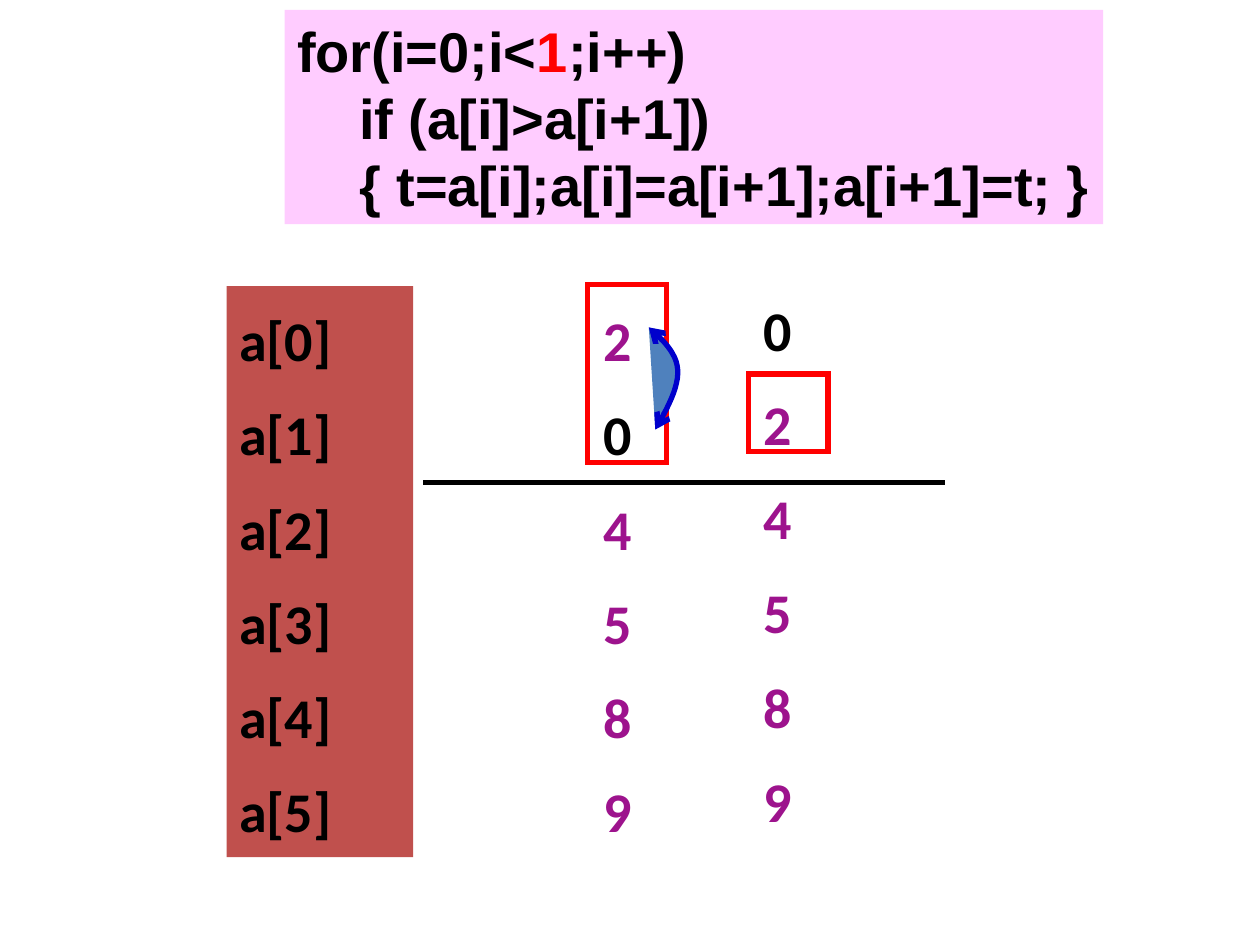
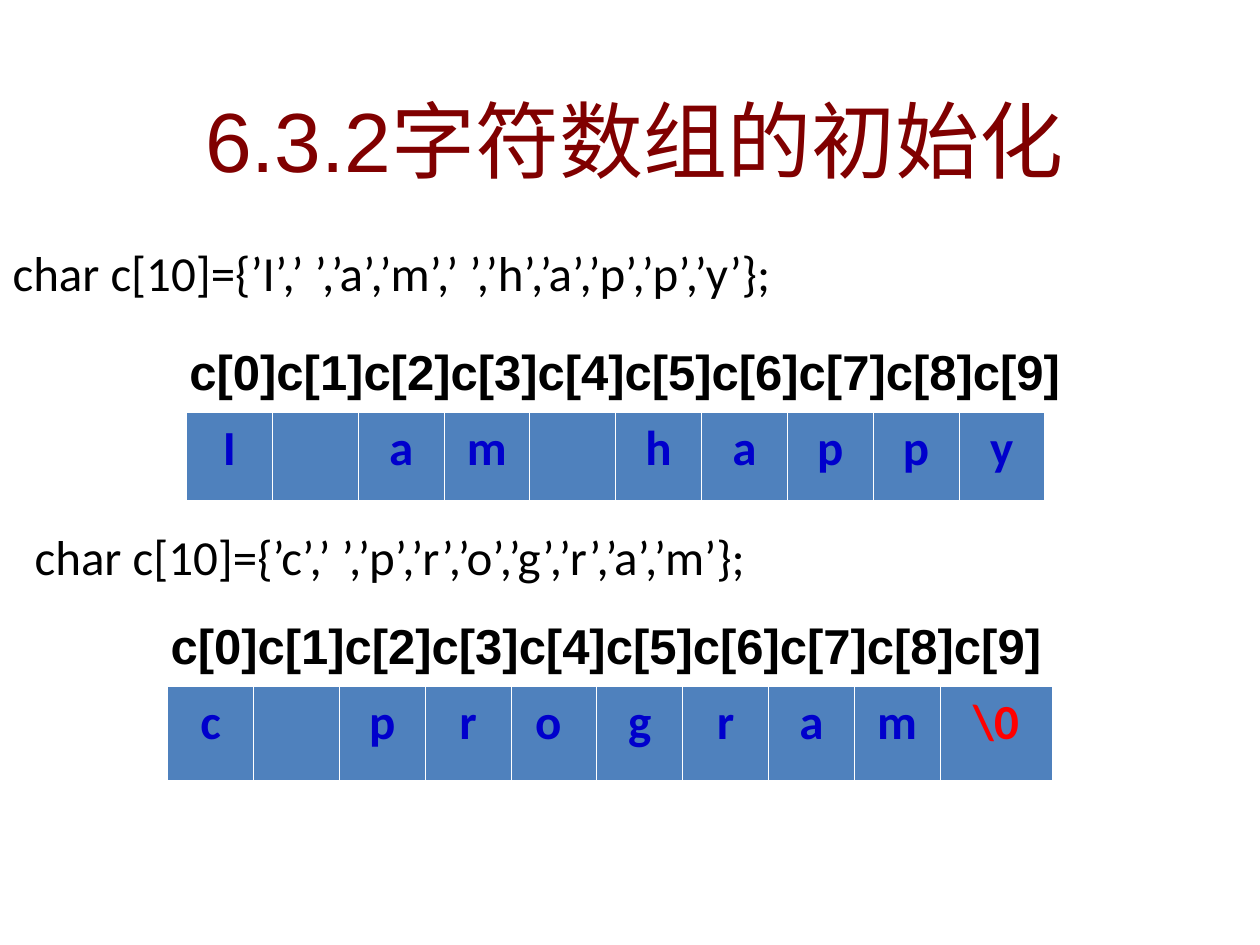
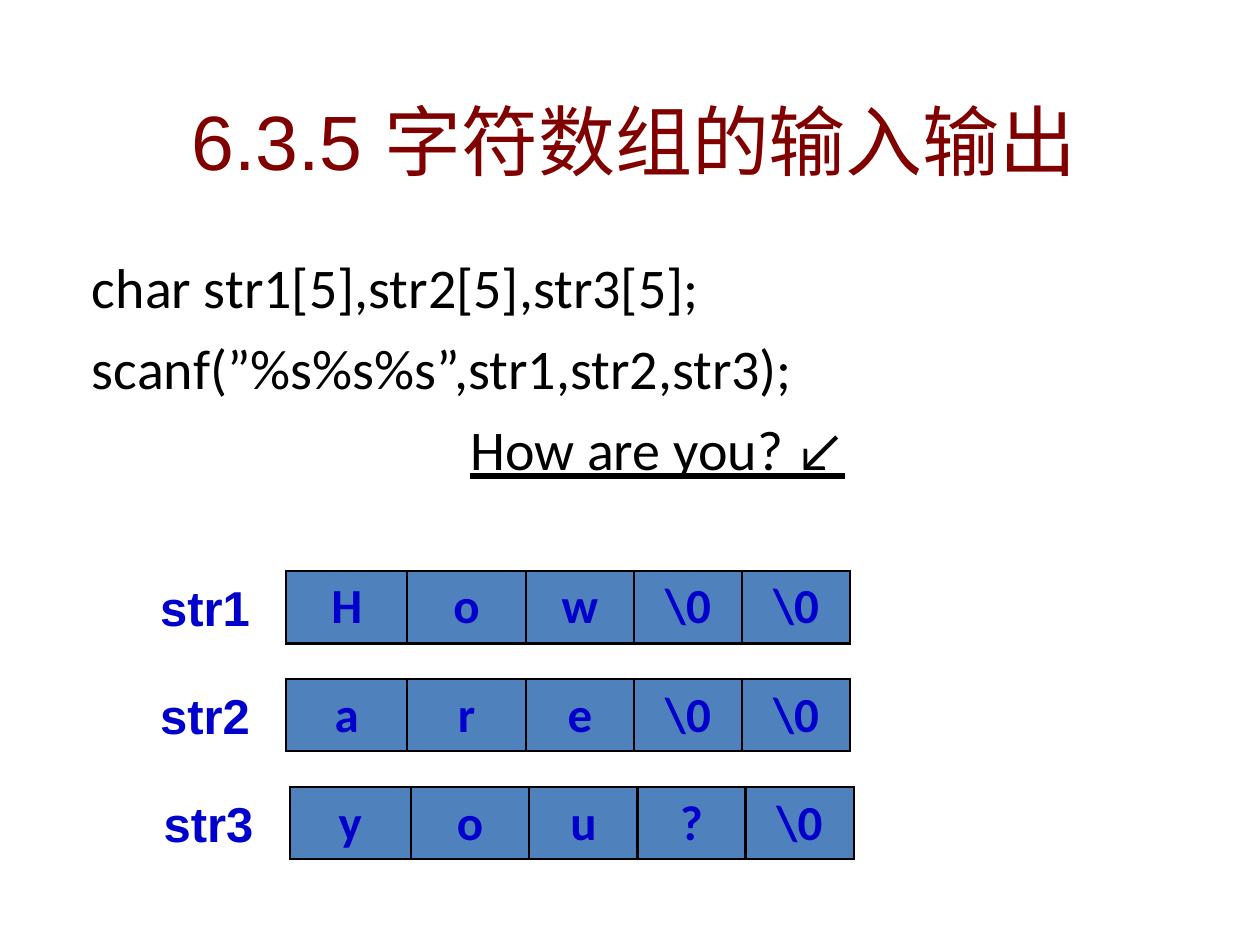
from collections import namedtuple

from lxml import etree
from pptx import Presentation
from pptx.dml.color import RGBColor
from pptx.enum.shapes import MSO_CONNECTOR, MSO_SHAPE
from pptx.enum.text import MSO_ANCHOR, MSO_AUTO_SIZE, PP_ALIGN
from pptx.oxml.ns import qn
from pptx.util import Cm, Pt

RECTANGLE = MSO_SHAPE.RECTANGLE
PROCESS = MSO_SHAPE.FLOWCHART_PROCESS
STRAIGHT = MSO_CONNECTOR.STRAIGHT
TOP, MIDDLE = MSO_ANCHOR.TOP, MSO_ANCHOR.MIDDLE
LEFT, CENTER = PP_ALIGN.LEFT, PP_ALIGN.CENTER
NO_FIT, GROW = MSO_AUTO_SIZE.NONE, MSO_AUTO_SIZE.SHAPE_TO_FIT_TEXT

COLOURS = {
    "black": "000000",
    "white": "FFFFFF",
    "red": "FF0000",
    "navy": "0000CC",
    "cell": "4F81BD",
    "index": "C0504D",
    "code": "FFCCFF",
    "value": "9D138D",
    "title": "800000",
}
CODE_FONT, BODY_FONT = "Arial", "Calibri"
HANGING = 0.95
LINE_GAP = 7.7
ROW_HEIGHT = 1.45
TITLE_LAYOUT, BLANK_LAYOUT = 1, 6

Box = namedtuple("Box", "left top width height")
Style = namedtuple("Style", "size font colour bold")

CODE = Style(32, CODE_FONT, "black", True)
VALUE = Style(32, BODY_FONT, "value", True)
TITLE = Style(48, CODE_FONT, "title", False)
BODY = Style(28, BODY_FONT, "black", False)
CELL = Style(28, BODY_FONT, "navy", True)
LABEL = Style(28, CODE_FONT, "black", True)


def rgb(name):
    return RGBColor.from_string(COLOURS[name])


def lengths(box):
    return [Cm(side) for side in box]


def place(holder, box):
    holder.left, holder.top, holder.width, holder.height = lengths(box)


def write(paragraph, text, style, underline=False):
    run = paragraph.add_run()
    run.text = text
    run.font.size = Pt(style.size)
    run.font.name = style.font
    run.font.bold = style.bold
    run.font.color.rgb = rgb(style.colour)
    if underline:
        run.font.underline = True


def paragraph_at(frame, position, alignment=LEFT):
    paragraph = frame.add_paragraph() if position else frame.paragraphs[0]
    paragraph.alignment = alignment
    return paragraph


def hang(paragraph):
    properties = paragraph._p.get_or_add_pPr()
    properties.set("marL", str(Cm(HANGING)))
    properties.set("indent", str(-Cm(HANGING)))
    etree.SubElement(properties, qn("a:buNone"))


def add_panel(slide, box, preset, fill=None, outline=None):
    panel = slide.shapes.add_shape(preset, *lengths(box))
    panel.shadow.inherit = False
    if fill:
        panel.fill.solid()
        panel.fill.fore_color.rgb = rgb(fill)
    else:
        panel.fill.background()
    if outline:
        panel.line.color.rgb = rgb(outline)
        panel.line.width = Pt(3)
        etree.SubElement(panel.line._get_or_add_ln(), qn("a:miter"), lim="800000")
    else:
        panel.line.fill.background()
    panel.text_frame.vertical_anchor = TOP
    return panel


def add_label(slide, box, text, style):
    frame = slide.shapes.add_textbox(*lengths(box)).text_frame
    frame.word_wrap = True
    frame.auto_size = GROW
    write(frame.paragraphs[0], text, style)


def write_column(frame, entries):
    frame.word_wrap = True
    for position, (text, colour) in enumerate(entries):
        paragraph = paragraph_at(frame, position)
        hang(paragraph)
        paragraph.line_spacing = 1.2
        if position:
            paragraph.space_before = Pt(LINE_GAP)
        write(paragraph, text, VALUE._replace(colour=colour))


def add_values(slide, box, values):
    frame = slide.shapes.add_textbox(*lengths(box)).text_frame
    write_column(frame, [(v, "black" if v == "0" else "value") for v in values])


def add_code(slide, box):
    frame = add_panel(slide, box, RECTANGLE, fill="code").text_frame
    frame.word_wrap = True
    frame.auto_size = NO_FIT
    frame.margin_right = 0
    lines = [
        [("for(i=0;i<", "black"), ("1", "red"), (";i++)", "black")],
        [("    if (a[i]>a[i+1])", "black")],
        [("    { t=a[i];a[i]=a[i+1];a[i+1]=t; }", "black")],
    ]
    for position, pieces in enumerate(lines):
        paragraph = paragraph_at(frame, position)
        for text, colour in pieces:
            write(paragraph, text, CODE._replace(colour=colour))


def bezier(start, first, second, end, steps=12):
    for step in range(1, steps + 1):
        t = step / steps
        weights = ((1 - t) ** 3, 3 * t * (1 - t) ** 2, 3 * t * t * (1 - t), t ** 3)
        yield tuple(
            sum(w * point[axis] for w, point in zip(weights, (start, first, second, end)))
            for axis in (0, 1)
        )


def add_swap_arrow(slide, box):
    bottom, bulge, top = (0.22, 1), (0.97, 0.41), (0, 0)
    curve = [
        *bezier(bottom, (0.63, 0.79), (1.02, 0.58), bulge),
        *bezier(bulge, (0.93, 0.25), (0.47, 0.12), top),
    ]
    points = [
        (Cm(box.left + x * box.width), Cm(box.top + y * box.height))
        for x, y in [bottom, *curve]
    ]
    builder = slide.shapes.build_freeform(*points[0])
    builder.add_line_segments(points[1:], close=False)
    arrow = builder.convert_to_shape()
    arrow.shadow.inherit = False
    arrow.fill.solid()
    arrow.fill.fore_color.rgb = rgb("cell")
    arrow.line.color.rgb = rgb("navy")
    arrow.line.width = Pt(3)
    outline = arrow.line._get_or_add_ln()
    for end in ("a:headEnd", "a:tailEnd"):
        etree.SubElement(outline, qn(end)).set("type", "arrow")


def add_divider(slide, left, right, top):
    divider = slide.shapes.add_connector(STRAIGHT, Cm(left), Cm(top), Cm(right), Cm(top))
    divider.line.color.rgb = rgb("black")
    divider.line.width = Pt(3)
    etree.SubElement(divider._element.spPr, qn("a:effectLst"))


def set_borders(cell, colour, side_width, bottom_width):
    properties = cell._tc.get_or_add_tcPr()
    for side in "LRTB":
        width = bottom_width if side == "B" else side_width
        border = etree.SubElement(properties, qn(f"a:ln{side}"), w=str(Pt(width)))
        fill = etree.SubElement(border, qn("a:solidFill"))
        etree.SubElement(fill, qn("a:srgbClr"), val=COLOURS[colour])


def add_array(slide, left, top, widths, height, letters, border, end_colour="navy"):
    box = Box(left, top, sum(widths), height)
    table = slide.shapes.add_table(1, len(widths), *lengths(box)).table
    table.rows[0].height = Cm(height)
    for position, (width, letter) in enumerate(zip(widths, letters)):
        table.columns[position].width = Cm(width)
        cell = table.cell(0, position)
        set_borders(cell, *border)
        cell.fill.solid()
        cell.fill.fore_color.rgb = rgb("cell")
        if letter:
            colour = end_colour if letter == "\\0" else "navy"
            paragraph = paragraph_at(cell.text_frame, 0, CENTER)
            write(paragraph, letter, CELL._replace(colour=colour))


def add_indexed_array(slide, left, top, widths, height, letters):
    add_array(slide, left, top, widths, height, letters, ("white", 0.45, 1.47), "red")
    indices = "".join(f"c[{i}]" for i in range(len(letters)))
    add_label(slide, Box(left - 0.19, top - 1.55, 18.64, ROW_HEIGHT), indices, LABEL)


def add_named_array(slide, left, top, name, letters):
    widths = [2.44, 2.39] + [2.18] * 3
    add_array(slide, left, top, widths, ROW_HEIGHT, letters, ("black", 1.47, 1.47))
    label_box = Box(left - 2.79, top, 2.59, ROW_HEIGHT)
    add_label(slide, label_box, name, LABEL._replace(colour="navy"))


def set_title(slide, box, text, size):
    title = slide.shapes.title
    place(title, box)
    frame = title.text_frame
    frame.auto_size = NO_FIT
    frame.vertical_anchor = MIDDLE
    write(paragraph_at(frame, 0, CENTER), text, TITLE._replace(size=size))


def set_body(slide, box, lines, size):
    body = slide.placeholders[1]
    place(body, box)
    frame = body.text_frame
    frame.auto_size = NO_FIT
    for position, (text, gap, alignment) in enumerate(lines):
        paragraph = paragraph_at(frame, position, alignment)
        hang(paragraph)
        paragraph.space_before = Pt(gap)
        write(paragraph, text, BODY._replace(size=size), alignment == CENTER)


def build_sorting(slide):
    before = Box(11.91, 5.77, 1.98, 11.51)
    after = Box(15.14, 5.56, 1.98, 11.51)
    add_divider(slide, 8.53, 19.05, 9.73)
    add_values(slide, before, "204589")
    compared = Box(before.left - 0.07, before.top - 0.03, 1.6, 3.58)
    add_panel(slide, compared, PROCESS, outline="red")
    add_swap_arrow(slide, Box(before.left + 1.17, before.top + 0.83, 0.6, 2.06))
    add_values(slide, after, "024589")
    larger = Box(after.left - 0.05, after.top + 1.98, 1.6, 1.57)
    add_panel(slide, larger, PROCESS, outline="red")
    indices = add_panel(slide, Box(4.57, 5.77, 3.76, 11.51), RECTANGLE, fill="index")
    write_column(indices.text_frame, [(f"a[{i}]", "black") for i in range(6)])
    add_code(slide, Box(5.74, 0.2, 16.5, 4.32))


def build_initialisation(slide):
    set_title(slide, Box(0.79, 1.65, 24, 2.31), "6.3.2字符数组的初始化", 48)
    declarations = [
        ("char c[10]={’I’,’ ’,’a’,’m’,’ ’,’h’,’a’,’p’,’p’,’y’};", 0, LEFT),
        ("  char c[10]={’c’,’ ’,’p’,’r’,’o’,’g’,’r’,’a’,’m’};", 128.5, LEFT),
    ]
    set_body(slide, Box(0, 4.77, 25.4, 7.75), declarations, 28)
    happy = ["I", "", "a", "m", "", "h", "a", "p", "p", "y"]
    program = ["c", "", "p", "r", "o ", "g", "r", "a", "m", "\\0"]
    add_indexed_array(slide, 3.76, 8.31, [1.73] * 10, 1.8, happy)
    add_indexed_array(slide, 3.38, 13.84, [1.73] * 9 + [2.26], 1.91, program)


def build_input_output(slide):
    set_title(slide, Box(0.79, 1.75, 24, 2.13), "6.3.5 字符数组的输入输出", 44)
    statements = [
        ("char str1[5],str2[5],str3[5];", 0, LEFT),
        ("scanf(”%s%s%s”,str1,str2,str3);", LINE_GAP, LEFT),
        ("How are you? ↙", LINE_GAP, CENTER),
    ]
    set_body(slide, Box(1.6, 4.97, 23.32, 7.75), statements, 32)
    arrays = [
        (5.77, "str1", ["H", "o", "w", "\\0", "\\0"]),
        (5.77, "str2", ["a", "r", "e", "\\0", "\\0"]),
        (5.84, "str3", ["y", "o", "u", "?", "\\0"]),
    ]
    for position, (left, name, letters) in enumerate(arrays):
        add_named_array(slide, left, 11.51 + position * 2.18, name, letters)


def main():
    deck = Presentation()
    deck.slide_width, deck.slide_height = Cm(25.4), Cm(19.05)
    pages = [
        (BLANK_LAYOUT, build_sorting),
        (TITLE_LAYOUT, build_initialisation),
        (TITLE_LAYOUT, build_input_output),
    ]
    for layout, build in pages:
        build(deck.slides.add_slide(deck.slide_layouts[layout]))
    deck.save("out.pptx")


if __name__ == "__main__":
    main()
